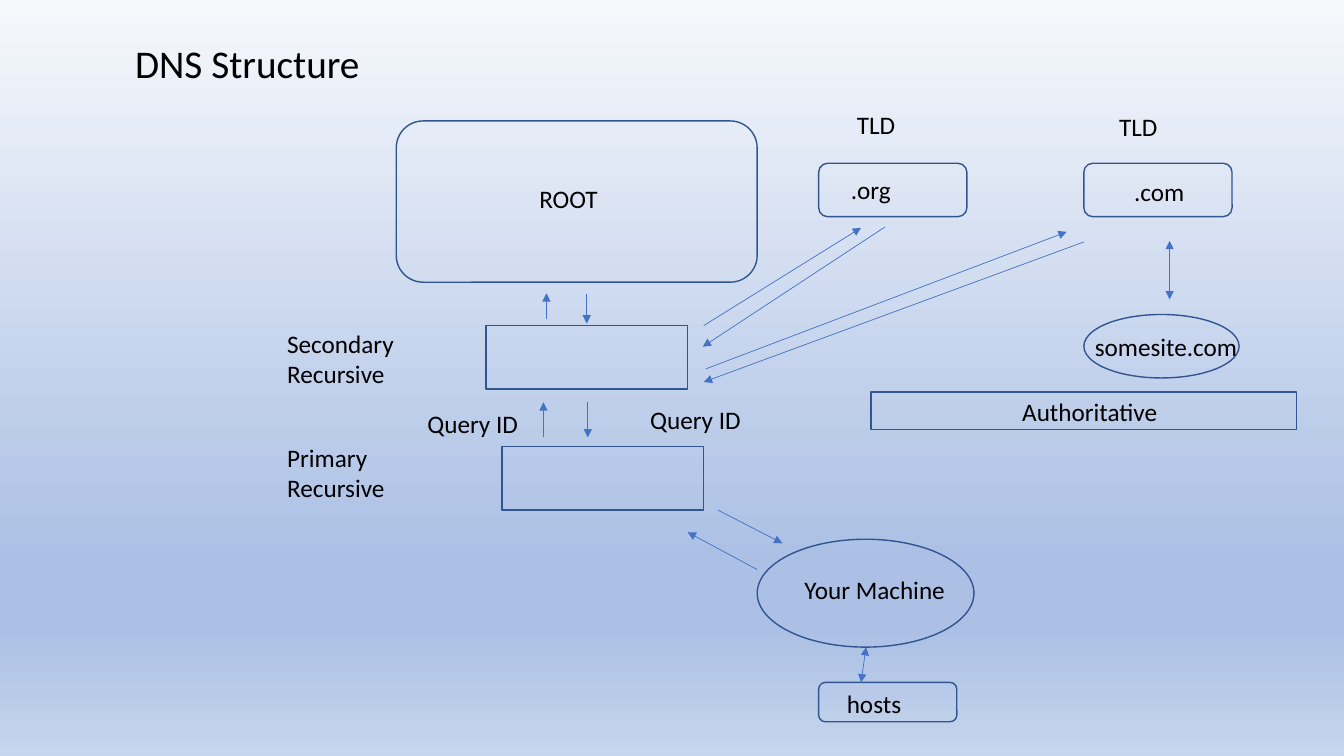
from lxml import etree
from pptx import Presentation
from pptx.dml.color import RGBColor
from pptx.enum.shapes import MSO_CONNECTOR, MSO_SHAPE
from pptx.enum.text import MSO_ANCHOR, MSO_AUTO_SIZE, PP_ALIGN
from pptx.oxml.ns import qn
from pptx.util import Pt

PX = 9144  # EMU in one px, 100 px to the inch
TITLE_ONLY = 5
FONT = "Calibri"
RECT = MSO_SHAPE.RECTANGLE
ROUNDED = MSO_SHAPE.ROUNDED_RECTANGLE
OVAL = MSO_SHAPE.OVAL
STRAIGHT = MSO_CONNECTOR.STRAIGHT
TOP = MSO_ANCHOR.TOP
LEFT = PP_ALIGN.LEFT
FIXED = MSO_AUTO_SIZE.NONE
FIT_SHAPE = MSO_AUTO_SIZE.SHAPE_TO_FIT_TEXT

COLORS = {"text": "000000", "outline": "325491", "arrow": "4472C4"}
BACKGROUND_STOPS = [(0, "F6F8FC"), (74, "ABC0E4"), (83, "ABC0E4"), (100, "C7D5ED")]

# Outlines: shape, left, top, width, height
NODES = [
    (ROUNDED, 393, 120, 358, 160),   # root
    (RECT, 482, 323, 200, 63),       # secondary recursive
    (RECT, 498, 443, 200, 63),       # primary recursive
    (OVAL, 751, 535, 215, 107),      # your machine
    (ROUNDED, 812, 162, 147, 53),    # .org
    (ROUNDED, 1075, 162, 147, 53),   # .com
    (OVAL, 1075, 312, 154, 63),      # somesite.com
    (ROUNDED, 812, 677, 137, 39),    # hosts
    (RECT, 864, 389, 422, 37),       # authoritative
]

# Arrows: from x, from y, to x, to y
ONE_WAY = [
    (878, 225, 697, 344), (698, 323, 854, 226),  # secondary and .org
    (700, 366, 1058, 230), (1075, 240, 698, 379),  # secondary and .com
    (542, 316, 542, 291), (582, 292, 582, 321),  # secondary and root
    (539, 434, 539, 399), (583, 399, 583, 434),  # primary and secondary
    (751, 565, 682, 528), (712, 506, 776, 539),  # primary and your machine
]
TWO_WAY = [(1160, 239, 1160, 297), (854, 677, 859, 642)]

# Labels: text, left, top, width, height
LABELS = [
    ("ROOT", 525, 177, 79, 40),
    ("TLD", 840, 104, 59, 40),
    ("TLD", 1100, 106, 59, 40),
    (".org", 834, 168, 60, 40),
    (".com", 1115, 170, 70, 40),
    ("somesite.com", 1076, 324, 163, 40),
    ("Secondary\nRecursive", 275, 321, 127, 71),
    ("Primary\nRecursive", 275, 434, 118, 71),
    ("Your Machine", 788, 565, 161, 40),
    ("hosts", 830, 678, 75, 40),
    ("Query ID", 635, 396, 111, 40),
    ("Query ID", 414, 400, 111, 40),
    ("Authoritative", 1004, 388, 156, 40),
]


def emu(*lengths):
    return [length * PX for length in lengths]


def color(name):
    return RGBColor.from_string(COLORS[name])


def paint_background(page):
    fill = page.background.fill
    fill.gradient()
    fill.gradient_angle = 270
    stops = next(page.element.iter(qn("a:gsLst")))
    for stop in list(stops):
        stops.remove(stop)
    for percent, value in BACKGROUND_STOPS:
        stop = etree.SubElement(stops, qn("a:gs"), pos=str(percent * 1000))
        etree.SubElement(stop, qn("a:srgbClr"), val=value)


def format_text(frame, size):
    for para in frame.paragraphs:
        para.alignment = LEFT
        for span in para.runs:
            span.font.name = FONT
            span.font.size = Pt(size)
            span.font.color.rgb = color("text")


def set_title(page, text, left, top, width, height):
    title = page.shapes.title
    title.left, title.top, title.width, title.height = emu(left, top, width, height)
    frame = title.text_frame
    frame.text = text
    frame.vertical_anchor = TOP
    frame.auto_size = FIXED
    format_text(frame, 28)


def add_node(page, kind, *area):
    node = page.shapes.add_shape(kind, *emu(*area))
    node.shadow.inherit = False
    node.fill.background()
    node.line.color.rgb = color("outline")
    node.line.width = Pt(1)


def add_label(page, text, *area):
    frame = page.shapes.add_textbox(*emu(*area)).text_frame
    frame.text = text
    frame.word_wrap = False
    frame.auto_size = FIT_SHAPE
    format_text(frame, 18)


def add_arrow(page, ends, heads):
    arrow = page.shapes.add_connector(STRAIGHT, *emu(*ends))
    arrow.line.color.rgb = color("arrow")
    arrow.line.width = Pt(0.5)
    for head in heads:
        etree.SubElement(arrow.line._get_or_add_ln(), qn(head), type="triangle")
    etree.SubElement(arrow._element.spPr, qn("a:effectLst"))


def main():
    deck = Presentation()
    deck.slide_width, deck.slide_height = emu(1333, 750)
    page = deck.slides.add_slide(deck.slide_layouts[TITLE_ONLY])
    paint_background(page)
    set_title(page, "DNS Structure", 124, 34, 303, 57)

    # Servers, sites and machines
    for node in NODES:
        add_node(page, *node)

    # Queries and answers
    for ends in ONE_WAY:
        add_arrow(page, ends, ["a:tailEnd"])
    for ends in TWO_WAY:
        add_arrow(page, ends, ["a:headEnd", "a:tailEnd"])

    for label in LABELS:
        add_label(page, *label)

    deck.save("out.pptx")


if __name__ == "__main__":
    main()
